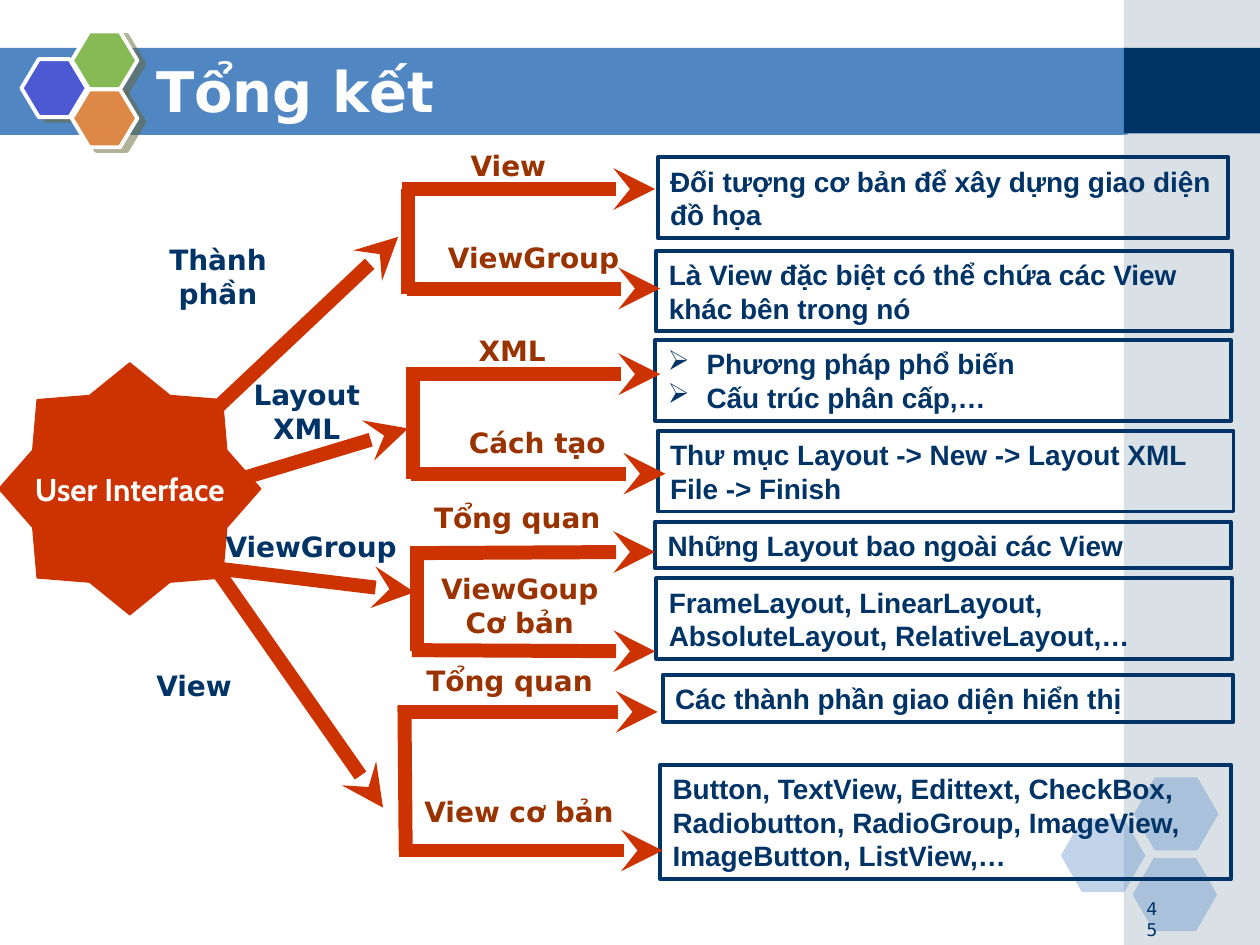
"""Build the summary slide: a User Interface mind map with four branches."""
from lxml.etree import SubElement
from pptx import Presentation
from pptx.dml.color import RGBColor
from pptx.enum.shapes import MSO_CONNECTOR, MSO_SHAPE
from pptx.enum.text import MSO_ANCHOR, PP_ALIGN
from pptx.oxml import parse_xml
from pptx.oxml.ns import nsdecls, qn
from pptx.util import Inches, Pt

COLORS = {
    "band": "5086C2", "side": "A0B5C4", "navy": "003366", "white": "FFFFFF",
    "indigo": "4C59D2", "green": "85BA54", "orange": "DE8848",
    "olive": "666633", "red": "CC3300", "brown": "993300",
}


def write(shape, lines, color, size=16, font="DejaVu Sans", align=PP_ALIGN.CENTER,
          bold=True, wrap=True, bullet=None):
    frame = shape.text_frame
    frame.text = "\n".join(lines)
    frame.word_wrap = wrap
    for paragraph in frame.paragraphs:
        paragraph.alignment = align
        if bullet:
            properties = paragraph._p.get_or_add_pPr()
            properties.set("marL", str(Inches(0.31)))
            properties.set("indent", str(-Inches(0.31)))
            SubElement(properties, qn("a:buChar")).set("char", bullet)
        for run in paragraph.runs:
            run.font.name = font
            run.font.size = Pt(size)
            run.font.bold = bold
            run.font.color.rgb = RGBColor.from_string(COLORS[color])


def draw(kind, left, top, width, height, fill=None, line=None, weight=2.25, alpha=None):
    shape = slide.shapes.add_shape(
        kind, Inches(left), Inches(top), Inches(width), Inches(height))
    shape.shadow.inherit = False
    if fill:
        shape.fill.solid()
        shape.fill.fore_color.rgb = RGBColor.from_string(COLORS[fill])
    else:
        shape.fill.background()
    if line:
        shape.line.color.rgb = RGBColor.from_string(COLORS[line])
        shape.line.width = Pt(weight)
    else:
        shape.line.fill.background()
    if alpha:
        tint = shape.element.spPr.find(qn("a:solidFill"))[0]
        SubElement(tint, qn("a:alpha")).set("val", str(alpha * 1000))
    return shape


prs = Presentation()
prs.slide_width = Inches(10)
prs.slide_height = Inches(7.5)
slide = prs.slides.add_slide(prs.slide_layouts[5])

draw(MSO_SHAPE.RECTANGLE, -0.01, 0.38, 8.96, 0.69, "band")
draw(MSO_SHAPE.RECTANGLE, 8.92, 0, 1.08, 7.5, "side", alpha=40)
draw(MSO_SHAPE.RECTANGLE, 8.92, 0.38, 1.08, 0.68, "navy")

for left, top in [(8.42, 6.5), (9, 6.17), (8.99, 6.81)]:
    corner_cell = draw(MSO_SHAPE.HEXAGON, left, top, 0.67, 0.58, "band", alpha=35)
    corner_cell.adjustments[0] = 0.286

for left, top, fill in [(0.17, 0.47, "indigo"), (0.57, 0.25, "green"), (0.57, 0.71, "orange")]:
    title_cell = draw(MSO_SHAPE.HEXAGON, left, top, 0.52, 0.46, fill, "white")
    title_cell.adjustments[0] = 0.3
    title_cell.element.spPr.find(qn("a:effectLst")).append(parse_xml(
        f'<a:outerShdw {nsdecls("a")} blurRad="0" dist="{Pt(4.5)}" dir="{27 * 60000}" '
        f'algn="ctr" rotWithShape="0"><a:srgbClr val="{COLORS["olive"]}">'
        '<a:alpha val="50000"/></a:srgbClr></a:outerShdw>'))

title = slide.shapes.title
title.left, title.top, title.width, title.height = (
    Inches(length) for length in (1.14, 0.2, 8.67, 1.03))
title.element.getparent().append(title.element)
write(title, ["Tổng kết"], "white", 32, align=PP_ALIGN.LEFT)
title.text_frame.vertical_anchor = MSO_ANCHOR.MIDDLE

page_number = slide.shapes.add_textbox(Inches(9), Inches(7.08), Inches(0.27), Inches(0.25))
write(page_number, ["45"], "navy", 10, align=PP_ALIGN.RIGHT, bold=False)

descriptions = [
    (5.22, 1.25, 4.53, 0.64, ["Đối tượng cơ bản để xây dựng giao diện đồ họa"], None),
    (5.21, 1.99, 4.57, 0.64, ["Là View đặc biệt có thể chứa các View khác bên trong nó"], None),
    (5.2, 2.7, 4.57, 0.64, ["Phương pháp phổ biến", "Cấu trúc phân cấp,…"], "➢"),
    (5.22, 3.42, 4.57, 0.64, ["Thư mục Layout -> New -> Layout XML File -> Finish"], None),
    (5.2, 4.14, 4.57, 0.37, ["Những Layout bao ngoài các View"], None),
    (5.21, 4.59, 4.57, 0.64,
     ["FrameLayout, LinearLayout, AbsoluteLayout, RelativeLayout,…"], None),
    (5.26, 5.36, 4.53, 0.37, ["Các thành phần giao diện hiển thị"], None),
    (5.24, 6.07, 4.53, 0.91,
     ["Button, TextView, Edittext, CheckBox, Radiobutton, RadioGroup, ImageView, "
      "ImageButton, ListView,…"], None),
]
for left, top, width, height, lines, bullet in descriptions:
    description = draw(MSO_SHAPE.RECTANGLE, left, top, width, height, line="navy")
    write(description, lines, "navy", font="Arial", align=PP_ALIGN.LEFT, bullet=bullet)

branches = [(1.74, 3.22, 3.16, 1.88), (1.88, 3.81, 3.24, 3.4),
            (1.29, 4.46, 3.29, 4.7), (1.74, 4.55, 3.04, 6.41)]
twigs = [(3.19, 1.5, 5.2, 1.5), (3.23, 2.29, 5.24, 2.29),
         (3.22, 2.97, 5.24, 2.97), (3.26, 3.76, 5.28, 3.76),
         (3.29, 4.39, 5.2, 4.38), (3.27, 5.16, 5.2, 5.17),
         (3.16, 5.65, 5.22, 5.65), (3.17, 6.75, 5.26, 6.75)]
spines = [(3.24, 1.5, 3.24, 2.33), (3.28, 2.97, 3.28, 3.8),
          (3.31, 4.33, 3.31, 5.17), (3.21, 5.6, 3.22, 6.75)]
for ends in branches + twigs + spines:
    link = slide.shapes.add_connector(
        MSO_CONNECTOR.STRAIGHT, *(Inches(length) for length in ends))
    link.line.color.rgb = RGBColor.from_string(COLORS["red"])
    link.line.width = Pt(8)
    if ends not in spines:
        SubElement(link.line._get_or_add_ln(), qn("a:tailEnd")).set("type", "stealth")
    SubElement(link.element.spPr, qn("a:effectLst"))

hub = draw(MSO_SHAPE.STAR_8_POINT, -0.01, 2.88, 2.08, 2, "red", "red", 0.75)
hub.adjustments[0] = 0.401
write(hub, ["User Interface"], "white", 18, "Cabin", wrap=False)
hub.text_frame.vertical_anchor = MSO_ANCHOR.MIDDLE

labels = [
    (1.02, 1.88, 1.42, ["Thành", "phần"], "navy"),
    (1.83, 2.95, 1.21, ["Layout", "XML"], "navy"),
    (1.55, 4.15, 1.84, ["ViewGroup"], "navy"),
    (0.83, 5.26, 1.42, ["View"], "navy"),
    (2.83, 1.13, 2.41, ["View"], "brown"),
    (3.03, 1.86, 2.41, ["ViewGroup"], "brown"),
    (2.86, 2.6, 2.41, ["XML"], "brown"),
    (3.06, 3.33, 2.41, ["Cách tạo"], "brown"),
    (2.9, 3.92, 2.41, ["Tổng quan"], "brown"),
    (2.92, 4.49, 2.41, ["ViewGoup", "Cơ bản"], "brown"),
    (3.11, 5.22, 1.87, ["Tổng quan"], "brown"),
    (3.26, 6.26, 1.72, ["View cơ bản"], "brown"),
]
for left, top, width, lines, color in labels:
    label = slide.shapes.add_textbox(
        Inches(left), Inches(top), Inches(width), Inches(0.1 + 0.27 * len(lines)))
    write(label, lines, color)

prs.save("out.pptx")
